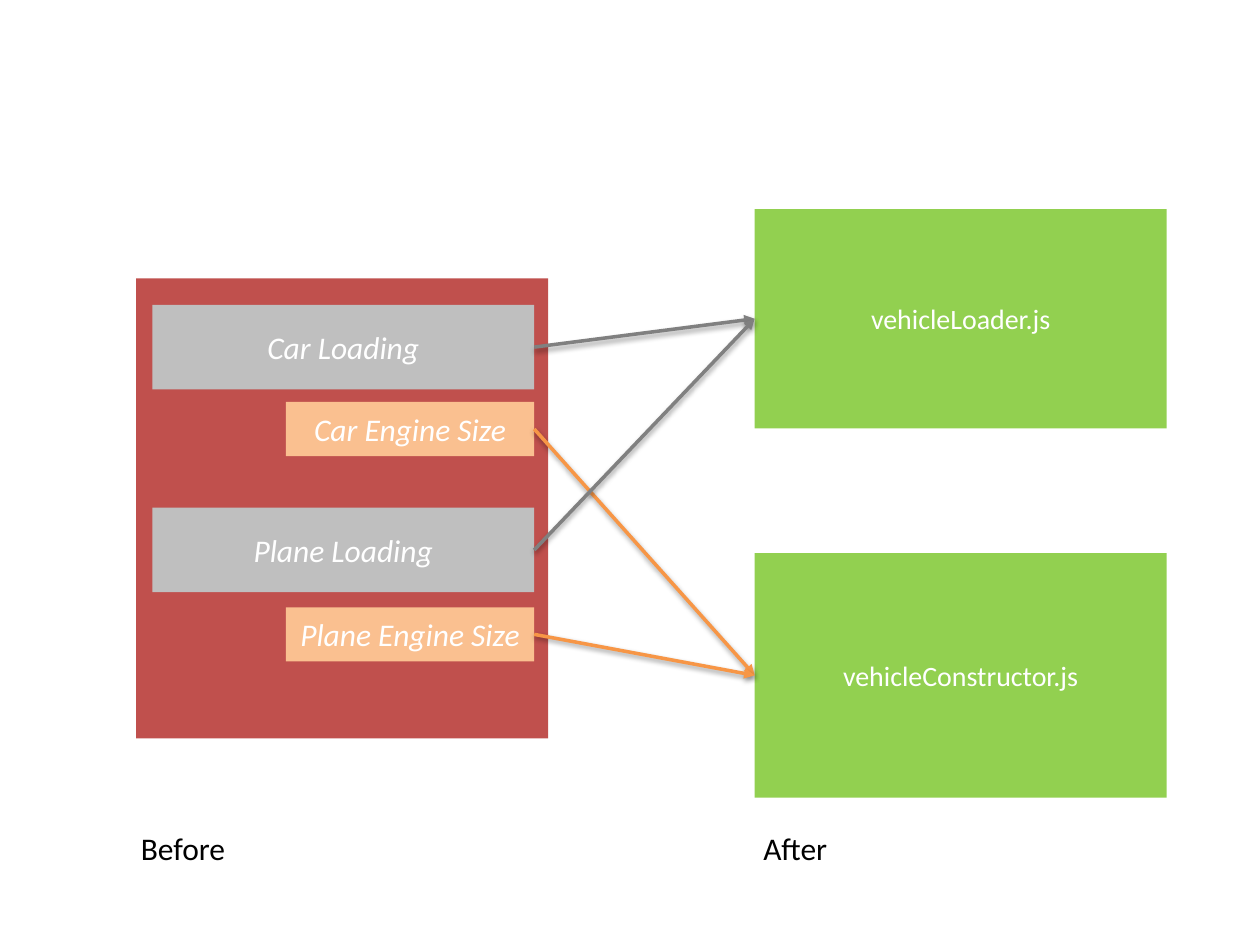
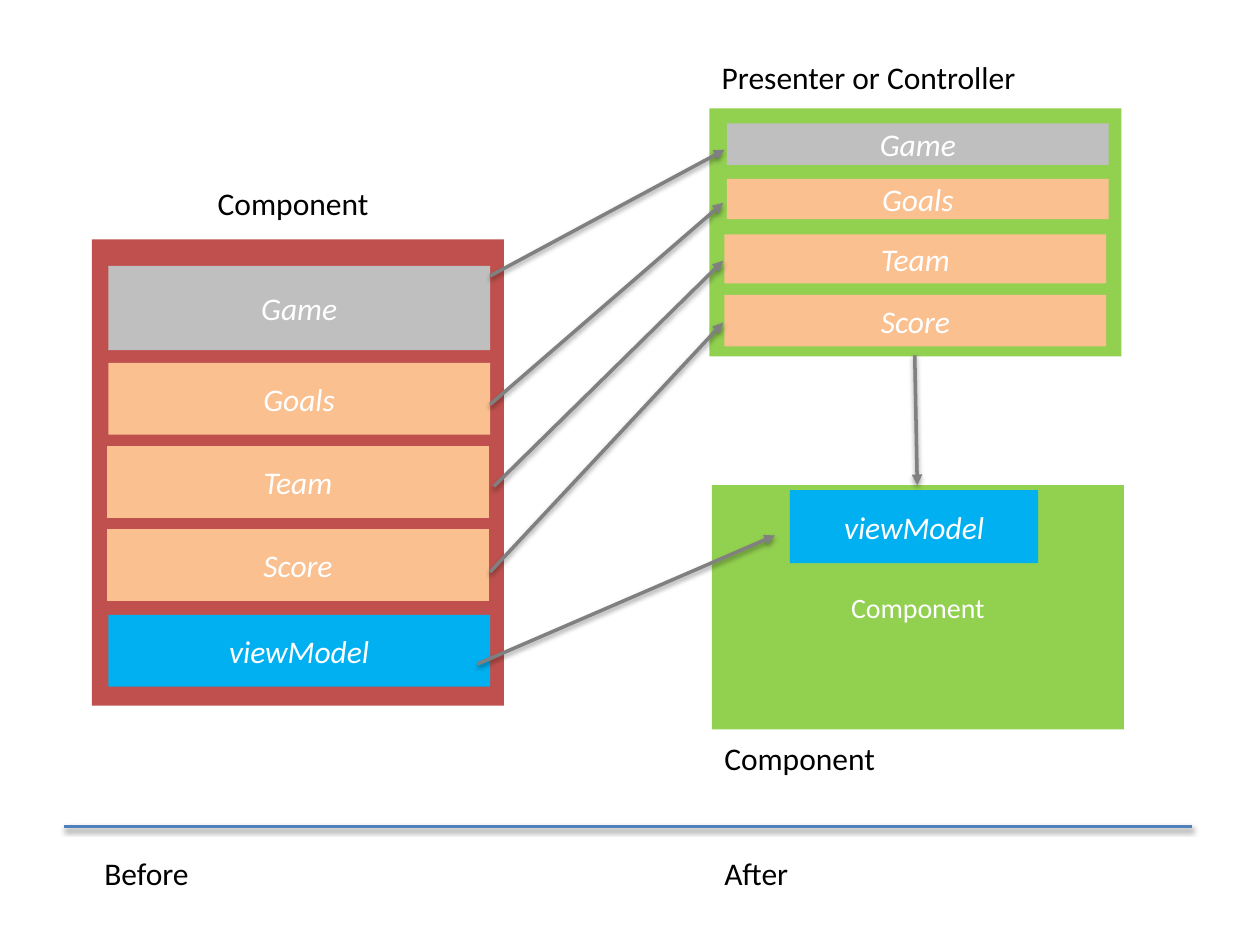
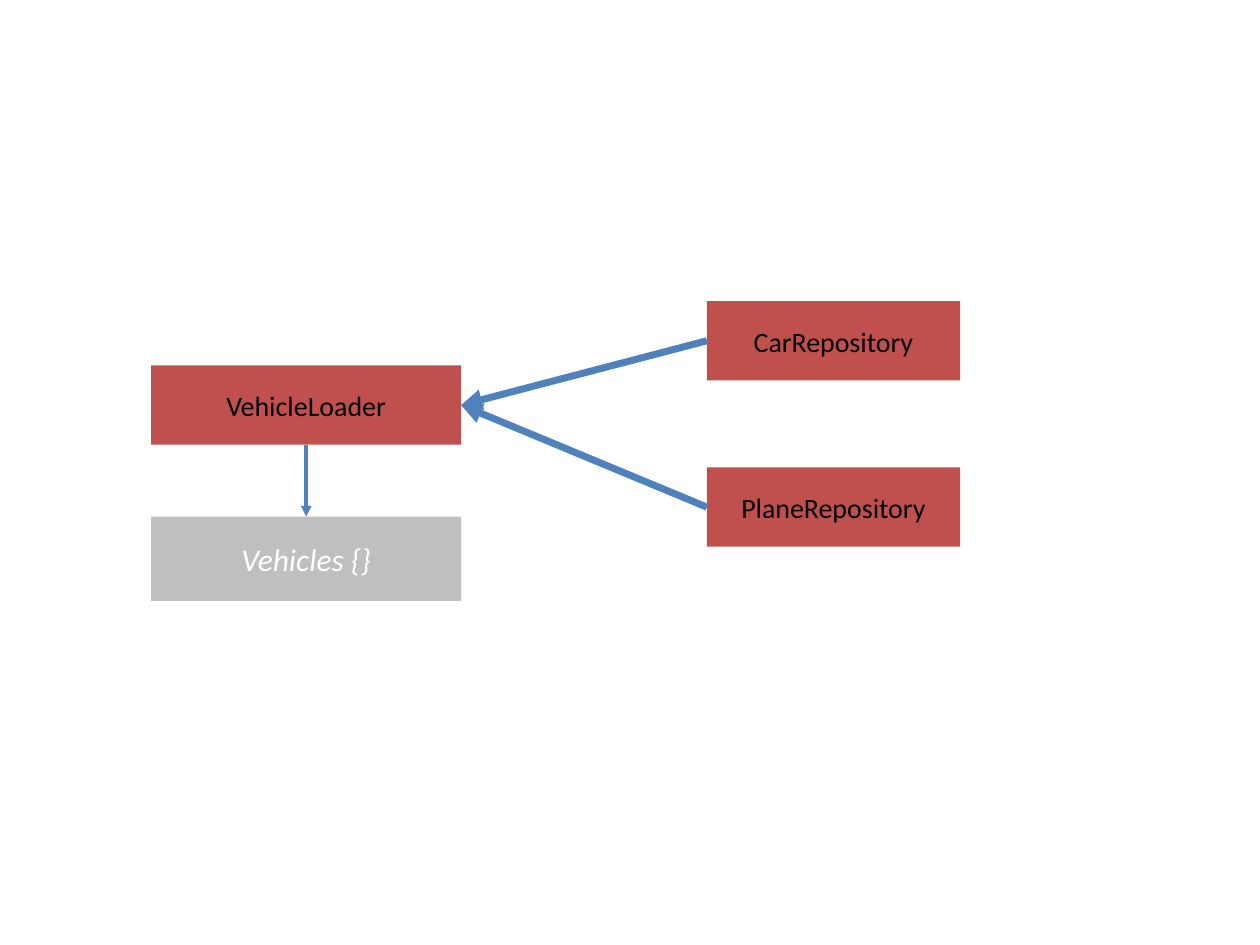
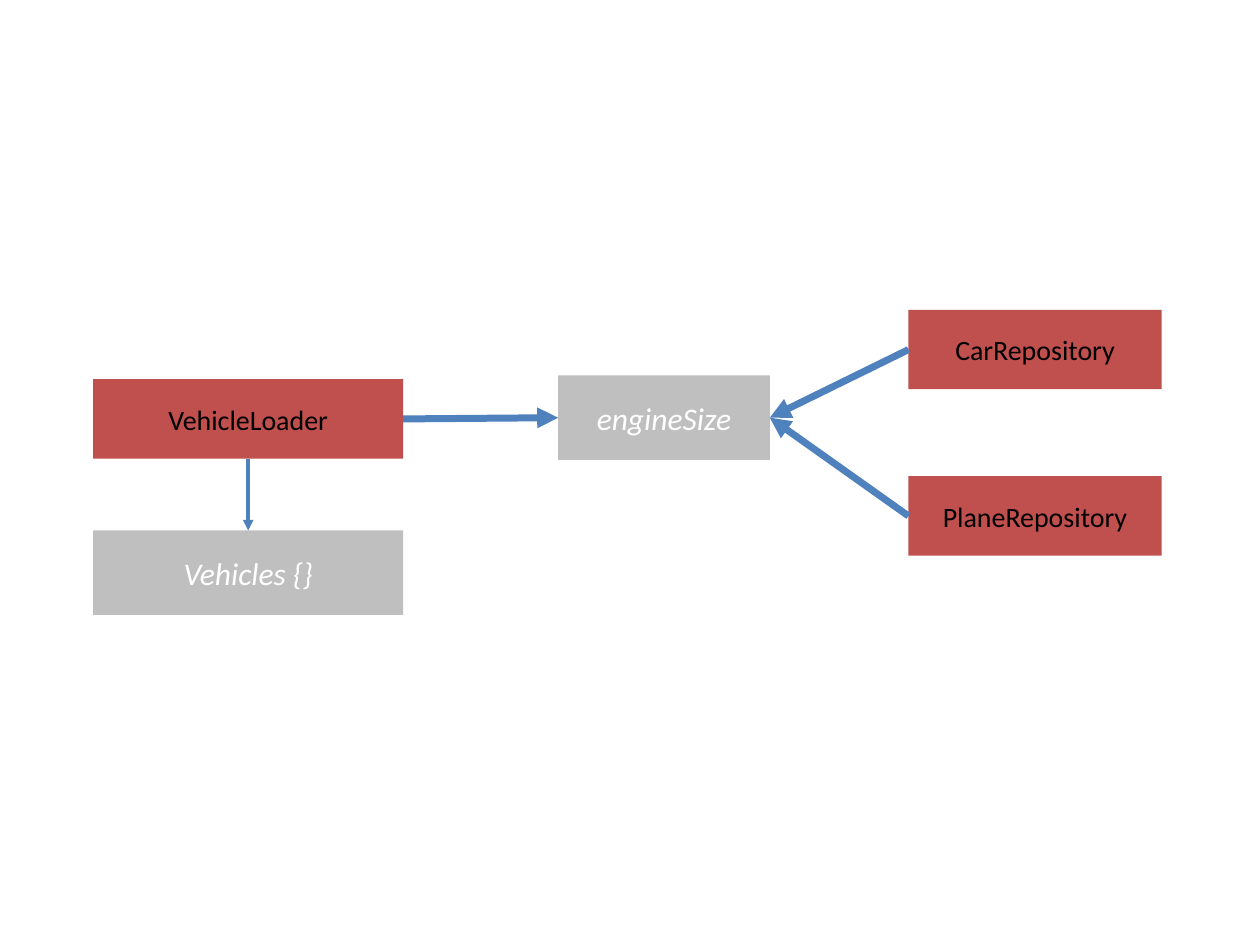
from lxml.etree import SubElement as Sub
from pptx import Presentation
from pptx.dml.color import RGBColor as RGB
from pptx.enum.shapes import MSO_CONNECTOR as Wire, MSO_SHAPE as Form
from pptx.enum.text import MSO_ANCHOR as Anchor, MSO_AUTO_SIZE as Fit, PP_ALIGN as Align
from pptx.oxml.ns import qn
from pptx.util import Inches, Pt

RED = RGB(0xC0, 0x50, 0x4D)
GREEN = RGB(0x92, 0xD0, 0x50)
SILVER = RGB(0xBF, 0xBF, 0xBF)
PEACH = RGB(0xFA, 0xC0, 0x90)
SKY = RGB(0x00, 0xB0, 0xF0)
GREY = RGB(0x80, 0x80, 0x80)
ORANGE = RGB(0xF7, 0x96, 0x46)
BLUE = RGB(0x4F, 0x81, 0xBD)
WHITE = RGB(0xFF, 0xFF, 0xFF)
BLACK = RGB(0x00, 0x00, 0x00)
TOP, LEFT, BOTTOM, RIGHT = range(4)  # connection sites of a rectangle


class Deck:
    """The style of the diagrams and the slide being drawn."""

    def __init__(self):
        """Start an empty 4:3 deck."""
        self.prs = Presentation()
        self.prs.slide_width, self.prs.slide_height = Inches(10), Inches(7.5)

    def page(self):
        """Add a blank slide and make it current."""
        self.shapes = self.prs.slides.add_slide(self.prs.slide_layouts[6]).shapes

    def letter(self, frame, text, size, color, italic=False):
        """Put one line of styled text in a frame."""
        para = frame.paragraphs[0]
        para.text = text
        font = para.font
        font.name, font.size, font.italic = "Calibri", Pt(size), italic
        font.color.rgb = color
        return para

    def box(self, at, fill, text="", size=16, color=WHITE, italic=False):
        """Add a plain filled rectangle with centred text."""
        shape = self.shapes.add_shape(Form.RECTANGLE, *map(Inches, at))
        shape.shadow.inherit = False
        shape.fill.solid()
        shape.fill.fore_color.rgb = fill
        shape.line.fill.background()
        if text:
            shape.text_frame.vertical_anchor = Anchor.MIDDLE
            para = self.letter(shape.text_frame, text, size, color, italic)
            para.alignment = Align.CENTER
        return shape

    def item(self, at, fill, text):
        """Add a part of a component, in white italics."""
        return self.box(at, fill, text, 18, italic=True)

    def unit(self, at, text):
        """Add a red class box with black text."""
        return self.box(at, RED, text, color=BLACK)

    def label(self, x, y, text, width=2.37):
        """Add a black caption."""
        frame = self.shapes.add_textbox(*map(Inches, (x, y, width, 0.4))).text_frame
        frame.word_wrap = True
        frame.auto_size = Fit.SHAPE_TO_FIT_TEXT
        self.letter(frame, text, 18, BLACK)

    def line(self, ends, color, width=2, head=True, shade=True):
        """Add a straight line, with or without arrowhead and shadow."""
        wire = self.shapes.add_connector(Wire.STRAIGHT, *map(Inches, ends))
        wire.line.color.rgb = color
        wire.line.width = Pt(width)
        if head:
            Sub(wire.get_or_add_ln(), qn("a:tailEnd"), type="triangle")
        effects = Sub(wire.element.spPr, qn("a:effectLst"))
        if shade:
            cast = Sub(effects, qn("a:outerShdw"), blurRad=str(Pt(3.1)),
                       dist=str(Pt(1.6)), dir="5400000", rotWithShape="0")
            tint = Sub(cast, qn("a:srgbClr"), val="000000")
            Sub(tint, qn("a:alpha"), val="38000")
        return wire

    def link(self, start, end, color, sites=(RIGHT, LEFT), **style):
        """Join two boxes with an arrow."""
        wire = self.line((0, 0, 0, 0), color, **style)
        wire.begin_connect(start, sites[0])
        wire.end_connect(end, sites[1])


def split(deck):
    """Show one file split into a loader and a constructor."""
    deck.page()
    loader = deck.box((5.99, 1.66, 3.27, 1.74), GREEN, "vehicleLoader.js")
    maker = deck.box((5.99, 4.39, 3.27, 1.94), GREEN, "vehicleConstructor.js")
    deck.box((1.08, 2.21, 3.27, 3.65), RED)
    for name, top, low in (("Car", 2.42, 3.19), ("Plane", 4.03, 4.82)):
        load = deck.item((1.21, top, 3.03, 0.67), SILVER, f"{name} Loading")
        size = deck.item((2.27, low, 1.97, 0.43), PEACH, f"{name} Engine Size")
        deck.link(size, maker, ORANGE)
        deck.link(load, loader, GREY)
    deck.label(1.02, 6.53, "Before")
    deck.label(5.96, 6.53, "After")


def present(deck):
    """Show the data of a component moved to a presenter."""
    deck.page()
    deck.box((5.63, 0.86, 3.27, 1.97), GREEN)
    deck.box((0.73, 1.9, 3.27, 3.7), RED)
    deck.box((5.65, 3.85, 3.27, 1.94), GREEN, "Component")
    # name, fill, then left, top, height before and after, then the arrow
    rows = (
        ("Game", SILVER, (0.86, 2.11, 0.67), (5.77, 0.98, 0.33), (3.89, 2.19, 5.75, 1.19)),
        ("Goals", PEACH, (0.86, 2.88, 0.57), (5.77, 1.42, 0.32), (3.89, 3.21, 5.74, 1.61)),
        ("Team", PEACH, (0.85, 3.54, 0.57), (5.75, 1.86, 0.39), (3.92, 3.86, 5.74, 2.07)),
        ("Score", PEACH, (0.85, 4.2, 0.57), (5.75, 2.34, 0.41), (3.89, 4.54, 5.74, 2.56)),
    )
    for name, fill, old, new, ends in rows:
        for x, y, high in (old, new):
            deck.item((x, y, 3.03, high), fill, name)
        deck.line(ends, GREY)
    deck.item((0.86, 4.88, 3.03, 0.57), SKY, "viewModel")
    deck.item((6.27, 3.89, 1.97, 0.58), SKY, "viewModel")
    deck.line((3.79, 5.27, 6.15, 4.25), GREY)
    deck.line((7.26, 2.82, 7.28, 3.85), GREY)
    deck.label(1.63, 1.41, "Component")
    deck.label(5.63, 0.41, "Presenter or Controller", 2.77)
    deck.label(5.65, 5.82, "Component")
    deck.label(0.73, 6.73, "Before")
    deck.label(5.65, 6.73, "After")
    deck.line((0.51, 6.56, 9.46, 6.56), BLUE, head=False)


def store(deck, x, y, far, top, hub=None):
    """Show a loader fed by two repositories, directly or through a hub."""
    deck.page()
    loader = deck.unit((x, y, 2.46, 0.63), "VehicleLoader")
    bag = deck.item((x, y + 1.2, 2.46, 0.67), SILVER, "Vehicles {}")
    deck.link(loader, bag, BLUE, (BOTTOM, TOP), shade=False)
    goal = loader
    if hub:
        goal = deck.item(hub, SILVER, "engineSize")
        deck.link(loader, goal, BLUE, width=4, shade=False)
    for row, name in enumerate(("Car", "Plane")):
        repo = deck.unit((far, top + row * 1.32, 2.01, 0.63), f"{name}Repository")
        deck.link(repo, goal, BLUE, (LEFT, RIGHT), width=4, shade=False)


deck = Deck()
split(deck)
present(deck)
store(deck, 1.2, 2.9, 5.61, 2.39)
store(deck, 0.74, 3.01, 7.21, 2.46, hub=(4.43, 2.98, 1.68, 0.67))
deck.prs.save("out.pptx")
